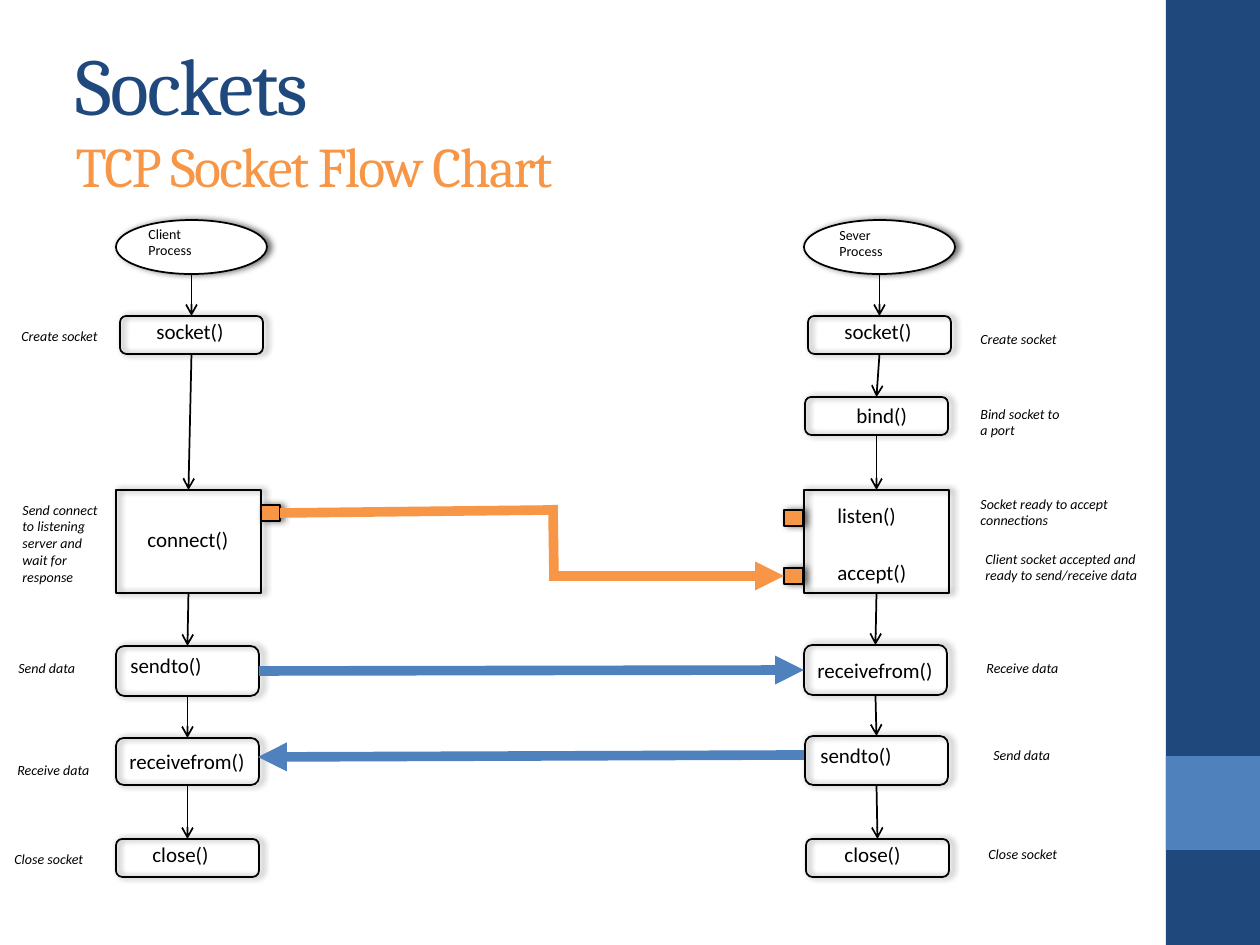
from lxml import etree
from pptx import Presentation, util as u
from pptx.dml.color import RGBColor
from pptx.enum import shapes, text
from pptx.oxml import ns

NAVY = RGBColor(0x1F, 0x49, 0x7D)
BLUE = RGBColor(0x4F, 0x81, 0xBD)
ORANGE = RGBColor(0xF7, 0x96, 0x46)
BLACK = RGBColor(0, 0, 0)
WHITE = RGBColor(255, 255, 255)
PX = 914400 / 126
RECT = shapes.MSO_SHAPE.RECTANGLE
ROUND = shapes.MSO_SHAPE.ROUNDED_RECTANGLE
OVAL = shapes.MSO_SHAPE.OVAL
SHADOW = (
    f'<a:effectLst {ns.nsdecls("a")}><a:outerShdw blurRad="50800" dist="25400" dir="0">'
    '<a:srgbClr val="000000"><a:alpha val="60000"/></a:srgbClr></a:outerShdw></a:effectLst>')

deck = Presentation()
deck.slide_width, deck.slide_height = u.Inches(10), u.Inches(7.5)
slide = deck.slides.add_slide(deck.slide_layouts[5])


def block(kind, area, fill=None, edge=True):
    """Add a shape; edged shapes have a black outline and a soft shadow."""
    shape = slide.shapes.add_shape(kind, *[round(n * PX) for n in area])
    shape.shadow.inherit = False
    if fill is None:
        shape.fill.background()
    else:
        shape.fill.solid()
        shape.fill.fore_color.rgb = fill
    if edge:
        shape.line.color.rgb = BLACK
        shape.line.width = u.Pt(1)
        props = shape._element.spPr
        props.remove(props.find(ns.qn("a:effectLst")))
        props.append(etree.fromstring(SHADOW))
    else:
        shape.line.fill.background()
    return shape


def link(ends, color=BLACK, width=1, tip=None, start=None, stop=None):
    """Add a line; start and stop are (shape, side) pairs to join."""
    line = slide.shapes.add_connector(
        shapes.MSO_CONNECTOR.STRAIGHT, *[round(n * PX) for n in ends])
    line.line.color.rgb = color
    line.line.width = u.Pt(width)
    if tip:
        etree.SubElement(line.line._get_or_add_ln(), ns.qn("a:tailEnd"), type=tip)
    etree.SubElement(line._element.spPr, ns.qn("a:effectLst"))
    if start:
        line.begin_connect(*start)
    if stop:
        line.end_connect(*stop)


# Side band
block(RECT, (1166, 0, 94, 945), NAVY, False)
block(RECT, (1166, 756, 94, 94), BLUE, False)

# Title
title = slide.shapes.title
title.left, title.top, title.width, title.height = [
    round(n * PX) for n in (63, 38, 1050, 157)]
frame = title.text_frame
frame.auto_size = text.MSO_AUTO_SIZE.NONE
frame.vertical_anchor = text.MSO_ANCHOR.MIDDLE
para = frame.paragraphs[0]
para.alignment = text.PP_ALIGN.LEFT
for words, size, color in (("Sockets ", 46, NAVY), ("TCP Socket Flow Chart", 32, ORANGE)):
    if para.runs:
        para.add_line_break()
    run = para.add_run()
    run.text = words
    run.font.name, run.font.size = "Cambria", u.Pt(size)
    run.font.color.rgb = color
    run._r.get_or_add_rPr().set("spc", "-100")

# Columns of steps, each joined to the one above
client = [
    (OVAL, (116, 220, 151, 54)), (ROUND, (120, 316, 143, 38)),
    (RECT, (116, 490, 145, 103)), (ROUND, (116, 646, 143, 50)),
    (ROUND, (116, 738, 143, 47)), (ROUND, (116, 839, 143, 38))]
server = [
    (OVAL, (804, 220, 151, 54)), (ROUND, (808, 316, 143, 38)),
    (ROUND, (805, 397, 143, 38)), (RECT, (804, 490, 145, 103)),
    (ROUND, (804, 645, 143, 50)), (ROUND, (805, 736, 143, 49)),
    (ROUND, (806, 839, 143, 38))]
made = []
for column in client, server:
    steps = []
    for kind, area in column:
        step = block(kind, area, WHITE if kind == OVAL else None)
        if steps:
            mid = area[0] + area[2] / 2
            last = steps[-1]
            start = (last, 2) if len(steps) > 1 else None
            link((mid, 274, mid, area[1]), tip="arrow", start=start, stop=(step, 0))
        steps.append(step)
    made.append(steps)

# Connection request
ask, listen, accept = [
    block(RECT, (x, y, 19, 16), ORANGE) for x, y in ((261, 505), (784, 510), (784, 568))]
link((280, 513, 553, 510), ORANGE, 5.5, start=(ask, 3))
link((553, 505, 554, 576), ORANGE, 5.5)
link((549, 576, 784, 575), ORANGE, 5.5, "triangle", stop=(accept, 1))

# Data exchange
link((259, 671, 804, 670), BLUE, 5.5, "triangle", (made[0][3], 3), (made[1][4], 1))
link((804, 755, 258, 757), BLUE, 5.5, "triangle")

# Labels: left, top, width, words
calls = [
    (144, 312, 94, "socket()"), (135, 520, 107, "connect()"),
    (118, 646, 98, "sendto()"), (117, 742, 142, "receivefrom()"),
    (140, 835, 82, "close()"), (832, 312, 94, "socket()"),
    (844, 396, 77, "bind()"), (825, 496, 86, "listen()"),
    (825, 553, 96, "accept()"), (805, 651, 142, "receivefrom()"),
    (808, 736, 98, "sendto()"), (832, 835, 82, "close()")]
names = [(136, 219, 100, "Client Process"), (827, 220, 100, "Sever\nProcess")]
notes = [
    (9, 321, 106, "Create socket"),
    (10, 495, 105, "Send connect\nto listening\nserver and\nwait for\nresponse"),
    (6, 653, 87, "Send data"), (5, 755, 102, "Receive data"),
    (2, 844, 98, "Close socket"), (968, 324, 106, "Create socket"),
    (968, 399, 110, "Bind socket to\na port"),
    (968, 489, 159, "Socket ready to accept\nconnections"),
    (973, 544, 186, "Client socket accepted and\nready to send/receive data"),
    (974, 653, 102, "Receive data"), (981, 740, 87, "Send data"),
    (976, 839, 98, "Close socket")]
for group, size, slant, wrap in (
        (calls, 12, False, False), (names, 8, False, True), (notes, 8, True, False)):
    for left, top, width, words in group:
        high = 38 if size == 12 else 30 + 17 * words.count("\n")
        box = slide.shapes.add_textbox(*[round(n * PX) for n in (left, top, width, high)])
        frame = box.text_frame
        frame.word_wrap = wrap
        frame.auto_size = text.MSO_AUTO_SIZE.SHAPE_TO_FIT_TEXT
        frame.text = words
        for para in frame.paragraphs:
            para.font.name, para.font.size = "Calibri", u.Pt(size)
            para.font.italic = slant
            para.font.color.rgb = BLACK

deck.save("out.pptx")
